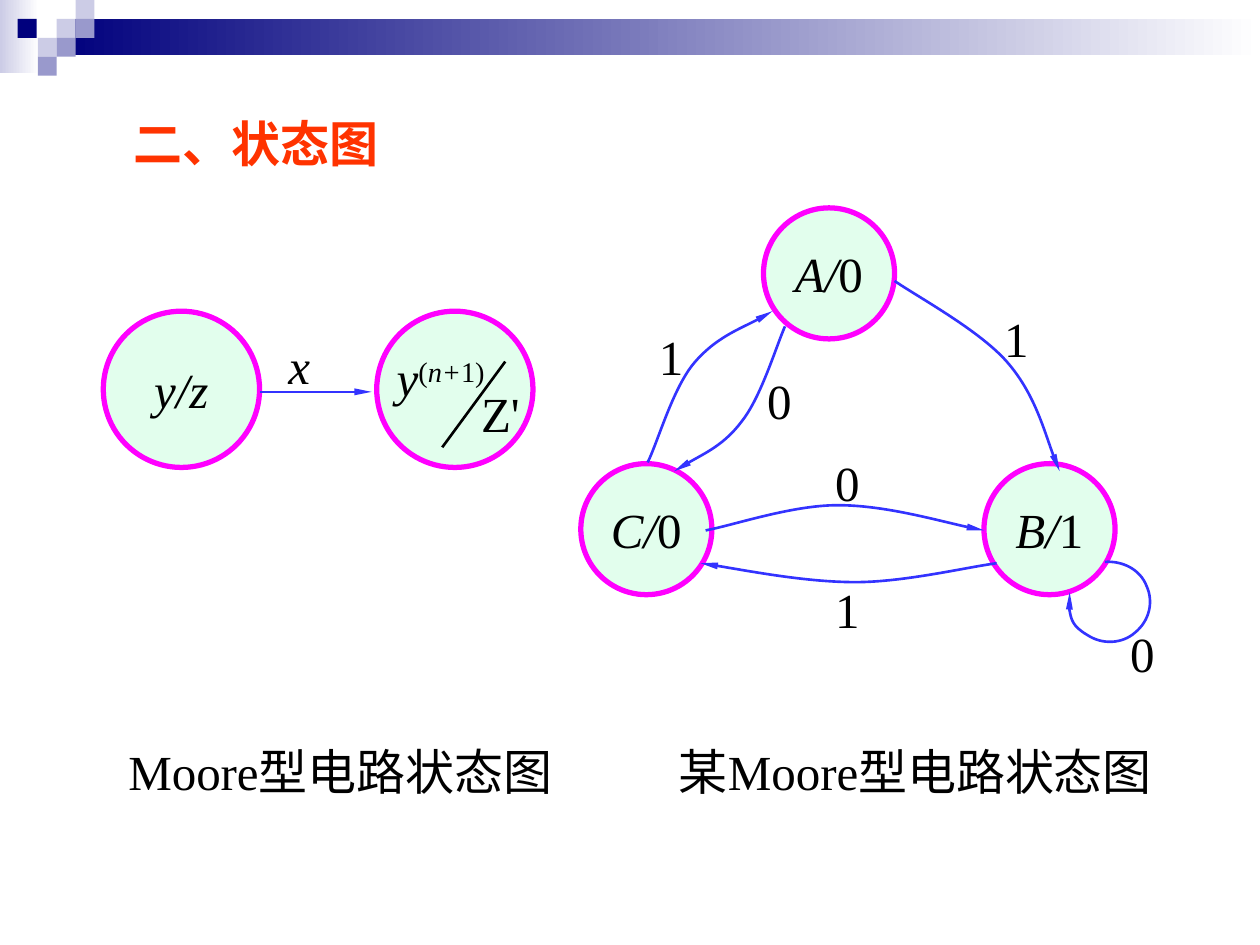
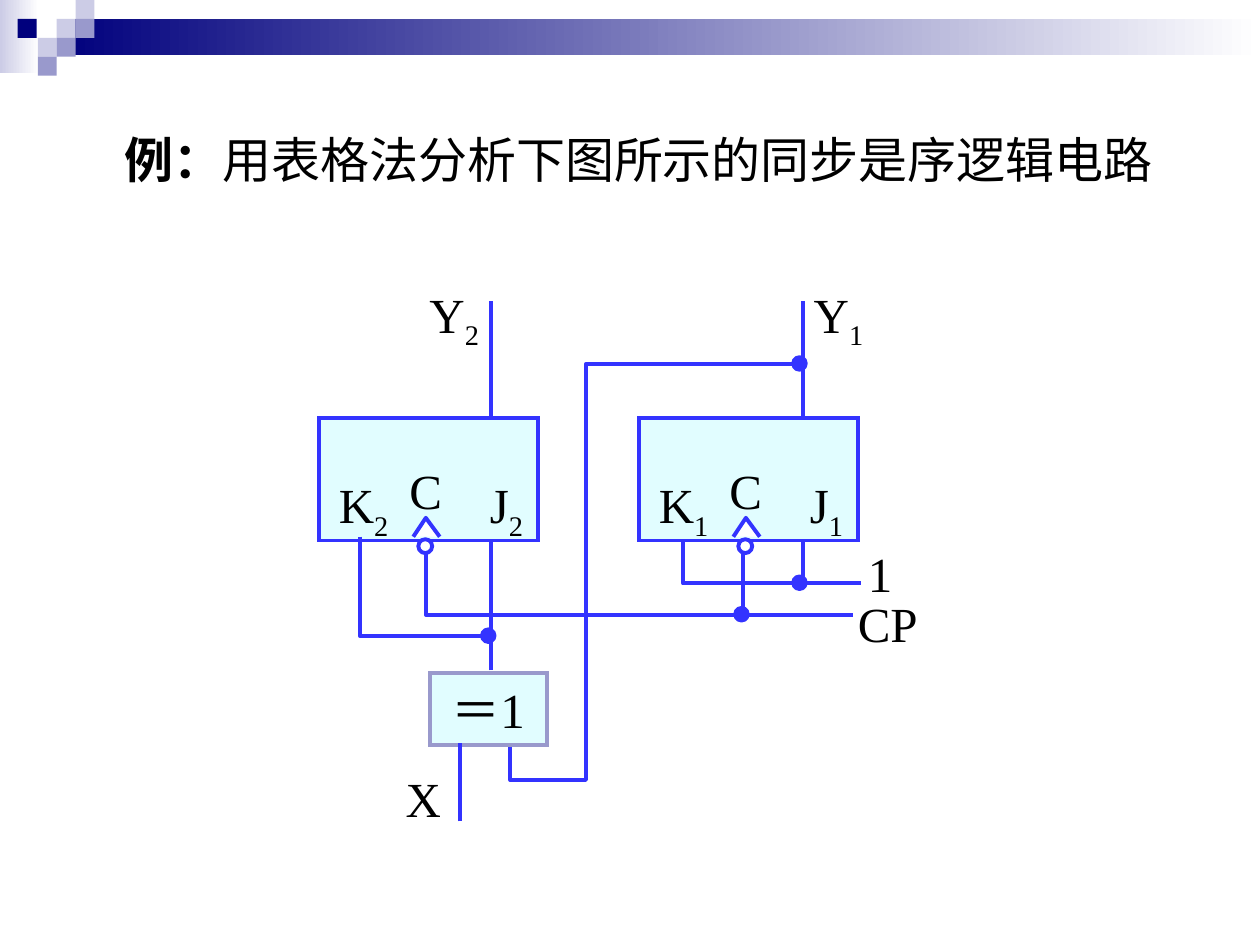
from lxml import etree
from pptx import Presentation
from pptx import util as u
from pptx.dml.color import RGBColor
from pptx.enum import shapes, text
from pptx.oxml import ns

PX = 9144  # EMU per px, 100 px to the inch
FONT = "Times New Roman"
BLACK, WHITE, RED = "000000", "FFFFFF", "FF3300"
NAVY, LAVENDER, MIST = "00007D", "9999CC", "CCCCE6"
BLUE, MAGENTA, MINT, ICE = "3333FF", "FF00FF", "E2FEED", "E1FDFF"
RECTANGLE = shapes.MSO_SHAPE.RECTANGLE
OVAL = shapes.MSO_SHAPE.OVAL


def rgb(value):
    return RGBColor.from_string(value)


def add_run(paragraph, content, size=28, color=BLACK, bold=False, italic=False, baseline=0):
    """Append formatted text; baseline is a percentage, negative for subscripts."""
    run = paragraph.add_run()
    run.text = content
    run.font.size = u.Pt(size)
    run.font.name = FONT
    run.font.bold = bold
    run.font.italic = italic
    run.font.color.rgb = rgb(color)
    if baseline:
        run._r.get_or_add_rPr().set("baseline", str(baseline * 1000))


def subscripted(letter, index):
    return [(letter, {}), (str(index), {"baseline": -25})]


class Deck:
    """Holds the presentation, its style and the slide being drawn."""

    def __init__(self):
        self.presentation = Presentation()
        self.presentation.slide_width = 1000 * PX
        self.presentation.slide_height = 750 * PX
        self.slide = None

    def new_slide(self):
        self.slide = self.presentation.slides.add_slide(self.presentation.slide_layouts[5])

    def fill_frame(self, frame, runs, align=text.PP_ALIGN.LEFT):
        frame.word_wrap = False
        frame.auto_size = text.MSO_AUTO_SIZE.NONE
        frame.vertical_anchor = text.MSO_ANCHOR.MIDDLE
        paragraph = frame.paragraphs[0]
        paragraph.alignment = align
        for content, formats in runs:
            add_run(paragraph, content, **formats)

    def title(self, left, top, width, runs):
        title = self.slide.shapes.title
        title.left, title.top = left * PX, top * PX
        title.width, title.height = width * PX, 57 * PX
        self.fill_frame(title.text_frame, runs)

    def label(self, left, top, width, runs, height=57):
        """Place a text box; runs is a string or a list of (text, formats)."""
        if isinstance(runs, str):
            runs = [(runs, {})]
        box = self.slide.shapes.add_textbox(left * PX, top * PX, width * PX, height * PX)
        self.fill_frame(box.text_frame, runs)

    def paint(self, shape, fill=None, line=None, weight=2.25):
        shape.shadow.inherit = False
        if fill:
            shape.fill.solid()
            shape.fill.fore_color.rgb = rgb(fill)
        else:
            shape.fill.background()
        if line:
            shape.line.color.rgb = rgb(line)
            shape.line.width = u.Pt(weight)
        else:
            shape.line.fill.background()

    def shape(self, kind, left, top, width, height, runs=(), **style):
        shape = self.slide.shapes.add_shape(kind, left * PX, top * PX, width * PX, height * PX)
        self.paint(shape, **style)
        if kind == RECTANGLE:
            self.add_to_line(shape, "a:miter", lim="800000")
        if runs:
            self.fill_frame(shape.text_frame, runs, text.PP_ALIGN.CENTER)
        return shape

    def gradient(self, left, top, width, height, color):
        """A rectangle that fades from the colour to white, left to right."""
        shape = self.shape(RECTANGLE, left, top, width, height)
        shape.fill.gradient()
        shape.fill.gradient_angle = 0
        for stop, value in zip(shape.fill.gradient_stops, (color, WHITE)):
            stop.color.rgb = rgb(value)
        return shape

    def state(self, left, top, diameter, runs=()):
        self.shape(OVAL, left, top, diameter, diameter, runs,
                   fill=MINT, line=MAGENTA, weight=3)

    def add_to_line(self, shape, tag, **attributes):
        line = shape.element.spPr.get_or_add_ln()
        etree.SubElement(line, ns.qn(tag), **attributes)

    def arrowhead(self, shape):
        self.add_to_line(shape, "a:tailEnd", type="triangle", w="sm", len="lg")

    def line(self, start, end, color=BLUE, weight=2.25, arrow=False):
        points = [value * PX for value in (*start, *end)]
        connector = self.slide.shapes.add_connector(shapes.MSO_CONNECTOR.STRAIGHT, *points)
        connector.line.color.rgb = rgb(color)
        connector.line.width = u.Pt(weight)
        if arrow:
            self.arrowhead(connector)
        etree.SubElement(connector.element.spPr, ns.qn("a:effectLst"))

    def wire(self, points, fill=None, weight=2.25):
        builder = self.slide.shapes.build_freeform(*points[0], scale=PX)
        builder.add_line_segments(points[1:], close=False)
        shape = builder.convert_to_shape()
        self.paint(shape, fill=fill, line=BLUE, weight=weight)
        return shape

    def curve(self, points):
        """A Bézier arrow: a start, then two control points and an end per piece."""
        shape = self.wire(points, weight=1.5)
        steps = list(shape.element.iter(ns.qn("a:lnTo")))
        for first in range(0, len(steps), 3):
            piece = etree.Element(ns.qn("a:cubicBezTo"))
            steps[first].addprevious(piece)
            for step in steps[first:first + 3]:
                piece.append(step[0])
                step.getparent().remove(step)
        self.arrowhead(shape)

    def decorate_master(self):
        """Draw the top band and its squares, then move them to the master."""
        band = [self.gradient(0, 0, 31, 58, MIST), self.gradient(45, 15, 955, 29, NAVY)]
        squares = [(45, 15, MIST), (60, 0, MIST), (60, 15, LAVENDER), (30, 30, MIST),
                   (14, 15, NAVY), (45, 30, LAVENDER), (30, 45, LAVENDER)]
        band += [self.shape(RECTANGLE, left, top, 15, 15, fill=color)
                 for left, top, color in squares]
        tree = self.presentation.slide_master.element.cSld.spTree
        for index, shape in enumerate(band):
            shape.element.nvSpPr.cNvPr.set("id", str(100 + index))
            tree.insert(2 + index, shape.element)


def draw_state_diagrams(deck):
    italic = {"italic": True}
    deck.title(96, 85, 260, [("二、状态图", {"bold": True, "color": RED})])
    deck.label(92, 583, 366, "Moore型电路状态图")
    deck.label(529, 583, 414, "某Moore型电路状态图")

    deck.state(82, 247, 124, [("y/z", italic)])
    deck.state(299, 247, 124)
    deck.line((206, 311), (295, 311), weight=1.5, arrow=True)
    deck.label(219, 261, 37, [("x", italic)])
    deck.label(305, 271, 90, [("y", italic), ("(", {"baseline": 30}),
                              ("n+", {"italic": True, "baseline": 30}),
                              ("1)", {"baseline": 30})])
    deck.label(372, 299, 50, "Z'")
    deck.line((401, 287), (351, 355), color=BLACK, weight=1.5)

    for name, output, left, top in (("C", "0", 461, 368), ("A", "0", 606, 165),
                                    ("B", "1", 781, 368)):
        deck.state(left, top, 104, [(name + "/", italic), (output, {})])
    b_to_c = [(791, 447), (768, 450), (718, 462), (679, 462), (640, 462), (577, 450), (556, 447)]
    c_to_b = [(560, 421), (582, 417), (628, 401), (665, 401), (702, 401), (762, 418), (781, 421)]
    b_to_b = [(877, 446), (891, 445), (905, 452), (910, 465), (916, 478), (912, 493), (901, 502),
              (891, 511), (875, 512), (863, 504), (851, 497), (846, 483), (849, 470)]
    a_to_b = [(710, 223), (729, 236), (777, 262), (799, 287), (821, 312), (834, 359), (841, 374)]
    c_to_a = [(514, 367), (522, 351), (534, 308), (551, 288), (568, 268), (603, 254), (613, 247)]
    a_to_c = [(623, 259), (616, 275), (604, 315), (589, 334), (575, 353), (544, 368), (535, 374)]
    for points, value, left, top in ((b_to_c, "1", 653, 455), (c_to_b, "0", 653, 354),
                                     (b_to_b, "0", 887, 490), (a_to_b, "1", 787, 240),
                                     (c_to_a, "1", 513, 254), (a_to_c, "0", 599, 289)):
        deck.curve(points)
        deck.label(left, top, 39, value)


def draw_flip_flop(deck, left, index):
    deck.shape(RECTANGLE, left, 332, 174, 97, fill=ICE, line=BLUE)
    deck.wire([(left + 75, 426), (left + 85, 411), (left + 96, 426)], fill=WHITE)
    deck.shape(OVAL, left + 79, 428, 11, 11, fill=WHITE, line=BLUE)
    deck.label(left + 6, 372, 59, subscripted("K", index), height=63)
    deck.label(left + 126, 372, 46, subscripted("J", index), height=63)
    deck.label(left + 62, 360, 46, "C")


def draw_circuit(deck):
    deck.title(89, 98, 880, [("例：", {"bold": True}),
                             ("用表格法分析下图所示的同步是序逻辑电路", {})])
    deck.line((590, 488), (590, 440))
    draw_flip_flop(deck, 253, 2)
    draw_flip_flop(deck, 507, 1)

    for x, bottom in ((390, 532), (637, 465)):
        deck.line((x, 332), (x, 239))
        deck.line((x, bottom), (x, 430))
    clock = [(338, 440), (338, 488), (677, 488)]
    k2_input = [(286, 426), (286, 505), (388, 505)]
    feedback = [(405, 581), (405, 619), (465, 619), (465, 289), (635, 289)]
    k1_input = [(542, 428), (542, 463), (683, 463)]
    for points in (clock, k2_input, feedback, k1_input):
        deck.wire(points)
    for left, top in ((583, 482), (629, 457), (629, 283), (382, 499)):
        deck.shape(OVAL, left, top, 11, 11, fill=BLUE, line=BLUE, weight=1.5)

    deck.shape(RECTANGLE, 341, 534, 93, 57, [("＝1", {})], fill=ICE, line=LAVENDER)
    deck.line((365, 652), (365, 590))
    deck.label(331, 221, 59, subscripted("Y", 2), height=63)
    deck.label(636, 221, 59, subscripted("Y", 1), height=63)
    deck.label(671, 466, 67, "CP")
    deck.label(679, 426, 39, "1")
    deck.label(312, 605, 48, "X")


def main():
    deck = Deck()
    deck.new_slide()
    deck.decorate_master()
    draw_state_diagrams(deck)
    deck.new_slide()
    draw_circuit(deck)
    deck.presentation.save("out.pptx")


if __name__ == "__main__":
    main()
